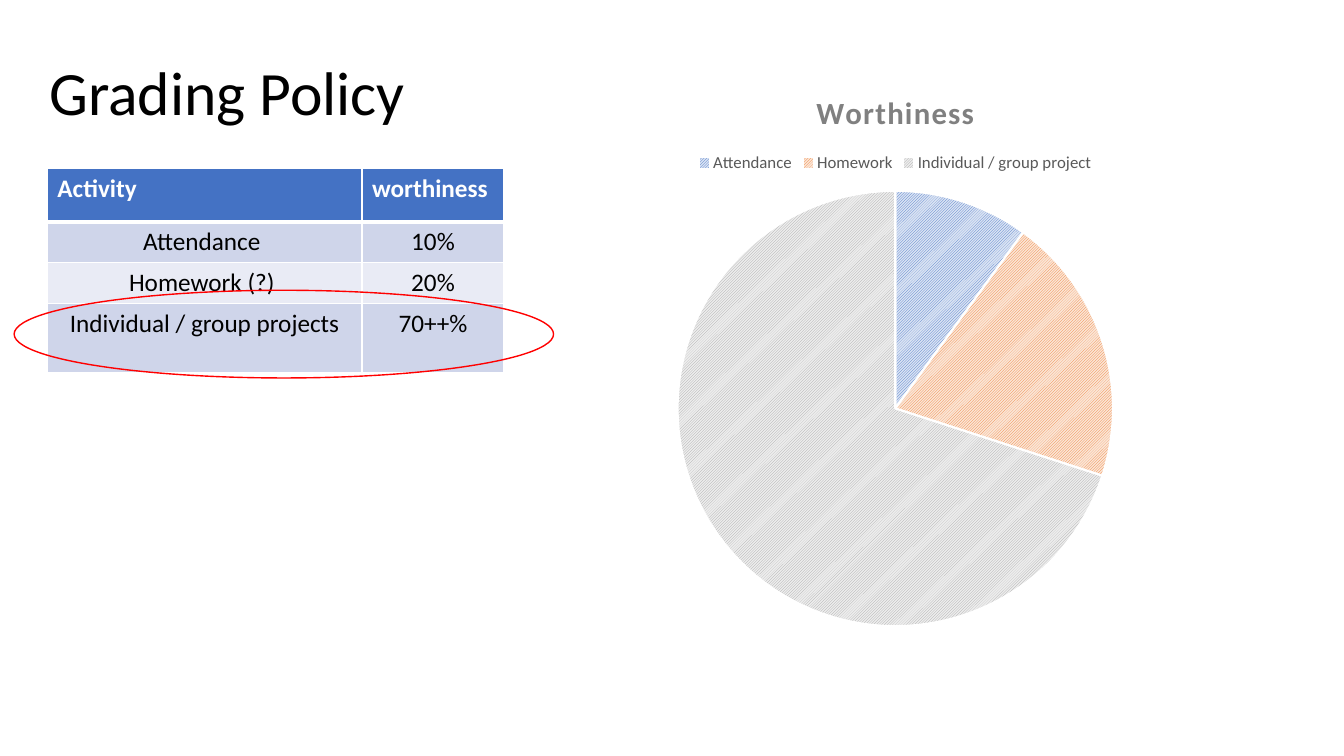
from lxml import etree
from pptx import Presentation
from pptx.chart.data import CategoryChartData
from pptx.dml.color import RGBColor
from pptx.enum.chart import XL_CHART_TYPE, XL_LEGEND_POSITION
from pptx.enum.dml import MSO_PATTERN
from pptx.enum.shapes import MSO_SHAPE
from pptx.enum.text import MSO_ANCHOR, PP_ALIGN
from pptx.oxml.ns import qn
from pptx.util import Inches, Pt

PIE = XL_CHART_TYPE.PIE
LEGEND_TOP = XL_LEGEND_POSITION.TOP
DIAGONAL = MSO_PATTERN.LIGHT_UPWARD_DIAGONAL
FONT = "Calibri"

TITLE = "Grading Policy"
ROWS = [
    ("Activity", "worthiness"),
    ("Attendance ", "10%"),
    ("Homework (?) ", "20%"),
    ("Individual / group projects", "70++%"),
]
COLUMN_WIDTHS = [3.12, 1.41]
ROW_HEIGHTS = [0.53, 0.4, 0.4, 0.69]
HEADER_FILL = "4472C4"
BAND_FILLS = ["E9EBF5", "CFD5EA"]

CHART_TITLE = "Worthiness"
SLICES = [  # category, value, stripe colour, background colour
    ("Attendance", 10, "4472C4", "DAE3F3"),
    ("Homework", 20, "ED7D31", "FBE5D6"),
    ("Individual / group project", 70, "A5A5A5", "EDEDED"),
]


def rgb(value):
    return RGBColor.from_string(value)


def set_font(font, size, color, bold=False):
    font.name = FONT
    font.size = Pt(size)
    font.bold = bold
    font.color.rgb = rgb(color)


def box(left, top, width, height):
    return Inches(left), Inches(top), Inches(width), Inches(height)


def add_cell_borders(cell, bottom_width):
    """Draw white borders; call before filling, since lines precede the fill."""
    properties = cell._tc.get_or_add_tcPr()
    for side, width in (("L", 1), ("R", 1), ("T", 1), ("B", bottom_width)):
        line = etree.SubElement(properties, qn(f"a:ln{side}"), w=str(Pt(width)))
        fill = etree.SubElement(line, qn("a:solidFill"))
        etree.SubElement(fill, qn("a:srgbClr"), val="FFFFFF")


def add_title(slide):
    title = slide.shapes.title
    title.left, title.top, title.width, title.height = box(0.39, 0.22, 11.5, 1.45)
    title.text_frame.text = TITLE
    title.text_frame.vertical_anchor = MSO_ANCHOR.MIDDLE
    paragraph = title.text_frame.paragraphs[0]
    paragraph.alignment = PP_ALIGN.LEFT
    paragraph.line_spacing = 0.9
    set_font(paragraph.font, 44, "000000")


def add_grading_table(slide):
    frame = slide.shapes.add_table(
        len(ROWS), len(COLUMN_WIDTHS),
        *box(0.47, 1.67, sum(COLUMN_WIDTHS), sum(ROW_HEIGHTS)))
    table = frame.table
    for column, width in zip(table.columns, COLUMN_WIDTHS):
        column.width = Inches(width)
    for row_index, (texts, height) in enumerate(zip(ROWS, ROW_HEIGHTS)):
        header = row_index == 0
        table.rows[row_index].height = Inches(height)
        for column_index, text in enumerate(texts):
            cell = table.cell(row_index, column_index)
            add_cell_borders(cell, 3 if header else 1)
            cell.fill.solid()
            cell.fill.fore_color.rgb = rgb(
                HEADER_FILL if header else BAND_FILLS[row_index % 2])
            cell.text = text
            paragraph = cell.text_frame.paragraphs[0]
            paragraph.alignment = PP_ALIGN.LEFT if header else PP_ALIGN.CENTER
            set_font(paragraph.font, 18, "FFFFFF" if header else "000000", header)


def add_worthiness_chart(slide):
    data = CategoryChartData()
    data.categories = [category for category, *_ in SLICES]
    data.add_series(CHART_TITLE, [value for _, value, *_ in SLICES])
    chart = slide.shapes.add_chart(PIE, *box(4.9, 0.68, 7.96, 5.67), data).chart
    set_font(chart.font, 10, "000000")

    chart.has_title = True
    chart.chart_title.include_in_layout = False
    paragraph = chart.chart_title.text_frame.paragraphs[0]
    run = paragraph.add_run()
    run.text = CHART_TITLE
    set_font(run.font, 22, "808080", True)
    run._r.get_or_add_rPr().set("spc", "100")

    chart.has_legend = True
    chart.legend.position = LEGEND_TOP
    chart.legend.include_in_layout = False
    set_font(chart.legend.font, 12, "595959")

    plot = chart.plots[0]
    plot.vary_by_categories = True
    for index, (_, _, stripe, background) in enumerate(SLICES):
        slice_format = plot.series[0].points[index].format
        slice_format.fill.patterned()
        slice_format.fill.pattern = DIAGONAL
        slice_format.fill.fore_color.rgb = rgb(stripe)
        slice_format.fill.back_color.rgb = rgb(background)
        slice_format.line.color.rgb = rgb("FFFFFF")
        slice_format.line.width = Pt(1.5)


def add_highlight(slide):
    ellipse = slide.shapes.add_shape(MSO_SHAPE.OVAL, *box(0.14, 2.88, 5.35, 0.87))
    ellipse.shadow.inherit = False
    ellipse.fill.background()
    ellipse.line.color.rgb = rgb("FF0000")
    ellipse.line.width = Pt(1)


def main():
    presentation = Presentation()
    presentation.slide_width = Inches(13.33)
    presentation.slide_height = Inches(7.5)
    slide = presentation.slides.add_slide(presentation.slide_layouts[5])
    add_title(slide)
    add_grading_table(slide)
    add_worthiness_chart(slide)
    add_highlight(slide)
    presentation.save("out.pptx")


if __name__ == "__main__":
    main()
